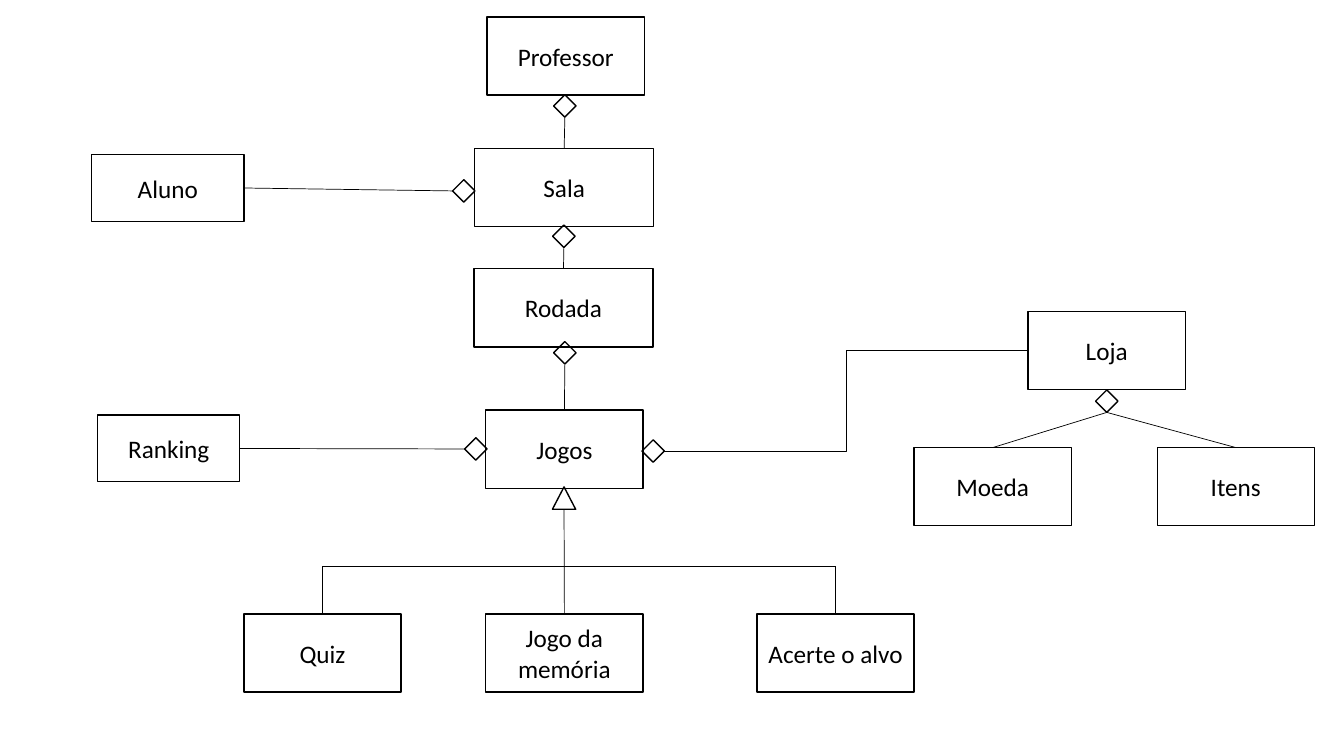
from pptx import Presentation
from pptx.dml.color import RGBColor as Rgb
from pptx.enum.shapes import MSO_CONNECTOR as Link, MSO_SHAPE as Shape
from pptx.enum.text import MSO_ANCHOR as Anchor, PP_ALIGN as Align
from pptx.oxml.ns import qn
from pptx.util import Pt
from lxml import etree

INK = {"line": "000000", "text": "000000", "fill": "FFFFFF"}
FONT = "Calibri"
TOP, LEFT, BASE, RIGHT = range(4)  # connection sites of boxes and diamonds
WIDE, HIGH, SIDE = 112.3, 55.8, 16

BOXES = {  # name: left, top, width, height
    "Professor": (348, 12.2, WIDE, HIGH),
    "Sala": (339, 106, 128, HIGH),
    "Rodada": (338.5, 192, 128, HIGH),
    "Jogos": (347, 293, WIDE, HIGH),
    "Aluno": (65.5, 110.2, 108.7, 48.2),
    "Ranking": (69.8, 296.6, 101.5, 47.5),
    "Loja": (734.4, 222.5, WIDE, HIGH),
    "Moeda": (653, 319.7, WIDE, HIGH),
    "Itens": (826.6, 319.7, WIDE, HIGH),
    "Quiz": (174.2, 438.5, WIDE, HIGH),
    "Jogo da memória": (347, 438.5, WIDE, HIGH),
    "Acerte o alvo": (540.7, 438.5, WIDE, HIGH),
}

PARTS = [  # diamond left and top, its site, then the boxes tied to it
    (395.5, 67.7, BASE, [("Sala", TOP)]),
    (323.3, 128.4, LEFT, [("Aluno", RIGHT)]),
    (394.8, 160.8, BASE, [("Rodada", TOP)]),
    (395.5, 244, BASE, [("Jogos", TOP)]),
    (331.9, 312.7, LEFT, [("Ranking", RIGHT)]),
    (458.6, 314.2, RIGHT, [("Loja", LEFT)]),
    (782.6, 278.6, BASE, [("Moeda", TOP), ("Itens", TOP)]),
]


def add_form(slide, kind, left, top, width, height, fill=None):
    """Add an outlined shape, hollow unless a fill is given."""
    form = slide.shapes.add_shape(kind, Pt(left), Pt(top), Pt(width), Pt(height))
    form.shadow.inherit = False
    form.line.color.rgb = Rgb.from_string(INK["line"])
    form.line.width = Pt(1)
    if fill:
        form.fill.solid()
        form.fill.fore_color.rgb = Rgb.from_string(fill)
    else:
        form.fill.background()
    return form


def add_box(slide, name, place):
    """Add a class box with its centred name."""
    box = add_form(slide, Shape.RECTANGLE, *place)
    frame = box.text_frame
    frame.word_wrap = True
    frame.vertical_anchor = Anchor.MIDDLE
    para = frame.paragraphs[0]
    para.alignment = Align.CENTER
    run = para.add_run()
    run.text = name
    run.font.name = FONT
    run.font.size = Pt(18)
    run.font.color.rgb = Rgb.from_string(INK["text"])
    return box


def add_line(slide, start=(0, 0), end=(0, 0), kind=Link.STRAIGHT):
    """Add a thin line between two points."""
    line = slide.shapes.add_connector(kind, *map(Pt, start + end))
    line.line.color.rgb = Rgb.from_string(INK["line"])
    line.line.width = Pt(0.5)
    etree.SubElement(line._element.spPr, qn("a:effectLst"))
    return line


def add_part(slide, boxes, left, top, site, ends):
    """Add an aggregation diamond and tie boxes to it."""
    gem = add_form(slide, Shape.DIAMOND, left, top, SIDE, SIDE)
    for name, spot in ends:
        kind = Link.ELBOW if name == "Loja" else Link.STRAIGHT
        line = add_line(slide, kind=kind)
        line.begin_connect(boxes[name], spot)
        line.end_connect(gem, site)


def add_tree(slide):
    """Add the inheritance triangle and its three branches."""
    rail, foot = 404.6, 438.5
    quiz, memo, goal = (
        BOXES[name][0] + WIDE / 2
        for name in ("Quiz", "Jogo da memória", "Acerte o alvo")
    )
    for x in (quiz, goal):
        add_line(slide, (x, foot), (x, rail))
    add_line(slide, (quiz, rail), (goal, rail))
    add_form(slide, Shape.ISOSCELES_TRIANGLE, 394.6, 347.8, 16.6, SIDE, INK["fill"])
    add_line(slide, (memo, foot), (402.9, 363.8))


def main():
    """Build the class diagram."""
    deck = Presentation()
    deck.slide_width, deck.slide_height = Pt(960), Pt(540)
    slide = deck.slides.add_slide(deck.slide_layouts[6])
    boxes = {name: add_box(slide, name, place) for name, place in BOXES.items()}
    for part in PARTS:
        add_part(slide, boxes, *part)
    add_tree(slide)
    deck.save("out.pptx")


main()
